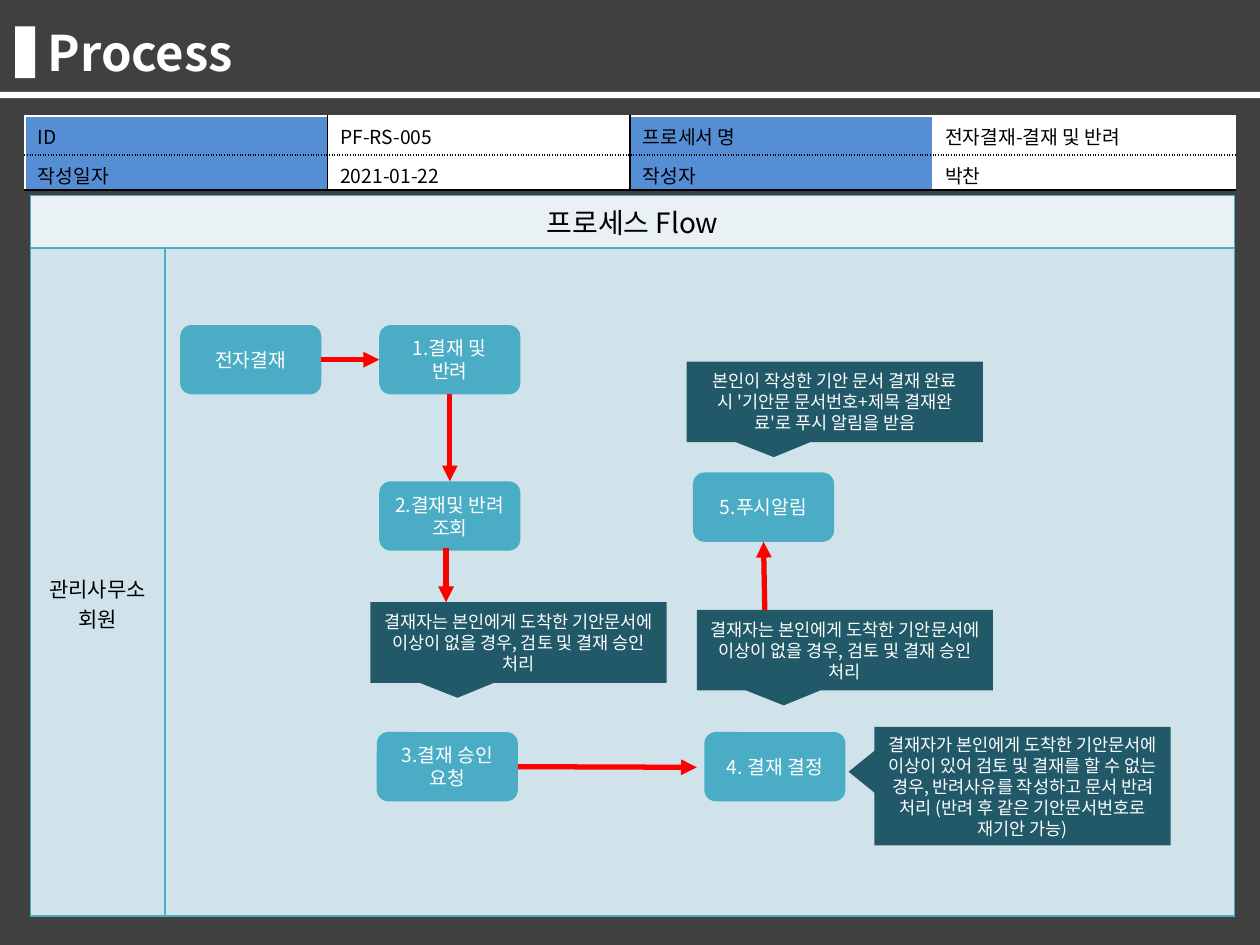
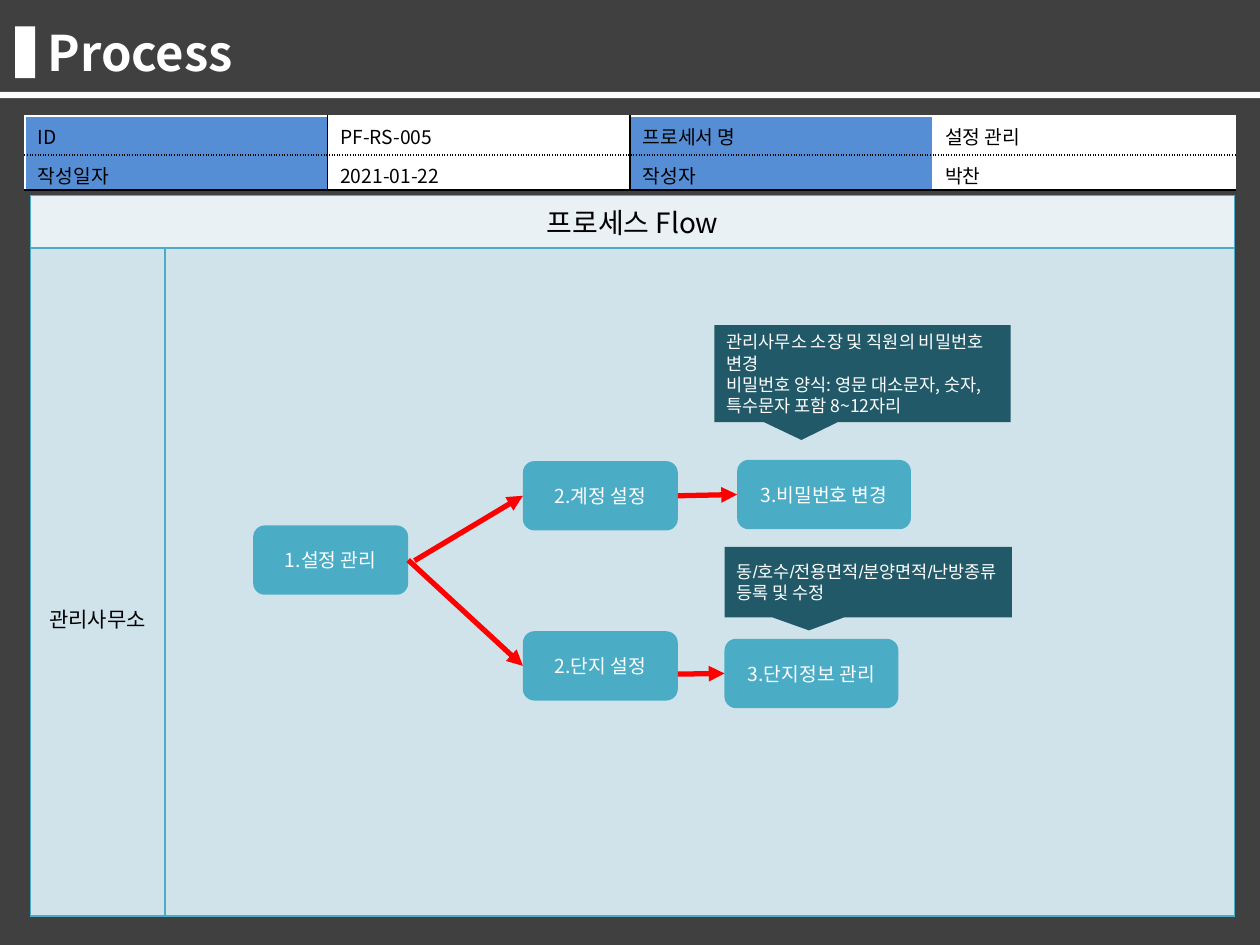
from lxml import etree
from pptx import Presentation
from pptx.dml.color import RGBColor
from pptx.enum.shapes import MSO_CONNECTOR, MSO_SHAPE
from pptx.enum.text import MSO_ANCHOR, PP_ALIGN
from pptx.oxml.ns import qn
from pptx.util import Inches, Pt

RECT, ROUND = MSO_SHAPE.RECTANGLE, MSO_SHAPE.ROUNDED_RECTANGLE
WEDGE, WEDGE_TIP = MSO_SHAPE.RECTANGULAR_CALLOUT, MSO_SHAPE.ISOSCELES_TRIANGLE
LINE = MSO_CONNECTOR.STRAIGHT
LEFT, CENTER = PP_ALIGN.LEFT, PP_ALIGN.CENTER
TOP, MIDDLE, BOTTOM = MSO_ANCHOR.TOP, MSO_ANCHOR.MIDDLE, MSO_ANCHOR.BOTTOM

FONT = "Noto Sans CJK KR"
BLACK, WHITE, DARK = "000000", "FFFFFF", "404040"
TEAL, NOTE, RED, BLUE = "4BACC6", "215968", "FF0000", "558ED5"
HEAD, BODY = "E9F1F5", "D0E3EA"
UP, WEST, DOWN, EAST = range(4)  # connection sites
STEP_H = 0.55

APPROVE = "결재자는 본인에게 도착한 기안문서에 이상이 없을 경우, 검토 및 결재 승인 처리"

# Steps: key -> (left, top, width, text)
# Notes: (left, top, width, height, text lines, alignment, font)
# Arrows: each end is (step key, site) or a point (x, y)
PAGES = [
    {
        "name": "전자결재-결재 및 반려",
        "role": "관리사무소 회원",
        "steps": {
            "start": (1.43, 2.58, 1.12, "전자결재"),
            "sign": (3.01, 2.58, 1.12, "1.결재 및 반려"),
            "view": (3.01, 3.82, 1.12, "2.결재및 반려 조회"),
            "ask": (2.99, 5.81, 1.12, "3.결재 승인 요청"),
            "push": (5.5, 3.75, 1.12, "5.푸시알림"),
            "decide": (5.59, 5.81, 1.12, "4. 결재 결정"),
        },
        "notes": [
            (5.53, 4.84, 2.35, 0.64, [APPROVE], CENTER, FONT),
            (2.94, 4.78, 2.35, 0.64, [APPROVE], CENTER, FONT),
            (5.45, 2.87, 2.35, 0.64,
             ["본인이 작성한 기안 문서 결재 완료 시 '기안문 문서번호+제목 결재완료'로 푸시 알림을 받음"],
             CENTER, FONT),
        ],
        "reject": "결재자가 본인에게 도착한 기안문서에 이상이 있어 검토 및 결재를 할 수 없는 경우, "
                  "반려사유를 작성하고 문서 반려 처리 (반려 후 같은 기안문서번호로 재기안 가능)",
        "arrows": [
            (("start", EAST), ("sign", WEST)),
            (("sign", DOWN), ("view", UP)),
            ((3.54, 4.35), (3.54, 4.78)),
            (("ask", EAST), (5.53, 6.09)),
            ((6.07, 4.84), ("push", DOWN)),
        ],
    },
    {
        "name": "설정 관리",
        "role": "관리사무소",
        "steps": {
            "account": (4.15, 3.66, 1.23, "2.계정 설정"),
            "estate": (4.15, 5.01, 1.23, "2.단지 설정"),
            "setup": (2.01, 4.17, 1.23, "1.설정 관리"),
            "secret": (5.85, 3.65, 1.38, "3.비밀번호 변경"),
            "info": (5.75, 5.07, 1.38, "3.단지정보 관리"),
        },
        "notes": [
            (5.67, 2.58, 2.35, 0.77,
             ["관리사무소 소장 및 직원의 비밀번호 변경",
              "비밀번호 양식: 영문 대소문자, 숫자, 특수문자 포함 8~12자리"], LEFT, FONT),
            (5.75, 4.34, 2.28, 0.56,
             ["동/호수/전용면적/분양면적/난방종류 등록 및 수정"], LEFT, "Arial"),
        ],
        "arrows": [
            ((3.29, 4.45), ("account", WEST)),
            (("setup", EAST), ("estate", WEST)),
            (("account", EAST), ("secret", WEST)),
            ((5.38, 5.35), ("info", WEST)),
        ],
    },
]


def rgb(code):
    return RGBColor.from_string(code)


def write(frame, lines, size, color, align=LEFT, font=FONT, bold=False):
    frame.word_wrap = True
    frame.text = "\n".join(lines)
    for para in frame.paragraphs:
        para.alignment = align
        face = para.font
        face.size, face.name, face.bold = Pt(size), font, bold
        face.color.rgb = rgb(color)
        base = para._p.pPr.find(qn("a:defRPr"))
        etree.SubElement(base, qn("a:ea"), typeface=FONT)


def draw(slide, kind, left, top, width, height, fill):
    shape = slide.shapes.add_shape(kind, *map(Inches, (left, top, width, height)))
    shape.shadow.inherit = False
    shape.fill.solid()
    shape.fill.fore_color.rgb = rgb(fill)
    shape.line.fill.background()
    shape.text_frame.vertical_anchor = MIDDLE
    return shape


def edge(cell, edges):
    """Draw (colour, dash) borders in the order left, right, top, bottom."""
    props = cell._tc.get_or_add_tcPr()
    for place, (side, (color, dash)) in enumerate(zip("LRTB", edges)):
        line = etree.Element(qn(f"a:ln{side}"), w=str(Pt(1)))
        fill = etree.SubElement(line, qn("a:solidFill"))
        etree.SubElement(fill, qn("a:srgbClr"), val=color)
        etree.SubElement(line, qn("a:prstDash"), val=dash)
        props.insert(place, line)


def grid(slide, left, top, cols, rows):
    frame = slide.shapes.add_table(len(rows), len(cols), *map(
        Inches, (left, top, sum(cols), sum(rows))))
    table = frame.table
    table.first_row = table.horz_banding = False
    for col, width in zip(table.columns, cols):
        col.width = Inches(width)
    for row, height in zip(table.rows, rows):
        row.height = Inches(height)
    return table


def paint(cell, fill, edges):
    cell.fill.solid()
    cell.fill.fore_color.rgb = rgb(fill)
    edge(cell, edges)


def add_frame(slide):
    """Dark page, title, marker and rule."""
    draw(slide, RECT, 0, 0, 10, 7.5, DARK)
    title = slide.shapes.add_textbox(*map(Inches, (0.28, 0.13, 8.98, 0.57)))
    write(title.text_frame, ["Process"], 28, WHITE, bold=True)
    draw(slide, RECT, 0.12, 0.21, 0.16, 0.41, WHITE)
    draw(slide, RECT, 0, 0.73, 10, 0.05, WHITE)


def add_flow(slide, role):
    """Lane table behind the flow chart."""
    table = grid(slide, 0.24, 1.55, [1.07, 8.49], [0.42, 5.3])
    table.cell(0, 0).merge(table.cell(0, 1))
    for row, fill in enumerate((HEAD, BODY)):
        for col in range(2):
            paint(table.cell(row, col), fill, [(TEAL, "solid")] * 4)
    write(table.cell(0, 0).text_frame, ["프로세스 Flow"], 16, BLACK, CENTER)
    lane = table.cell(1, 0)
    write(lane.text_frame, [role], 12, BLACK, CENTER)
    lane.vertical_anchor = BOTTOM
    lane.margin_bottom = Inches(2.24)


def add_info(slide, name):
    """Document details above the flow."""
    data = [["ID", "PF-RS-005", "프로세서 명", name],
            ["작성일자", "2021-01-22", "작성자", "박찬"]]
    walls = [(color, "solid") for color in (WHITE, BLACK, BLACK, WHITE, WHITE)]
    floors = [(WHITE, "solid"), (BLACK, "sysDot"), (BLACK, "solid")]
    table = grid(slide, 0.2, 0.92, [2.4] * 4, [0.31, 0.28])
    for row, texts in enumerate(data):
        for col, text in enumerate(texts):
            cell = table.cell(row, col)
            write(cell.text_frame, [text], 11, BLACK)
            cell.vertical_anchor = TOP
            cell.margin_bottom = Inches(0.01)
            paint(cell, WHITE if col % 2 else BLUE,
                  walls[col:col + 2] + floors[row:row + 2])


def add_step(slide, left, top, width, text):
    box = draw(slide, ROUND, left, top, width, STEP_H, TEAL)
    write(box.text_frame, [text], 11, WHITE, CENTER)
    return box


def add_note(slide, left, top, width, height, lines, align, font):
    note = draw(slide, WEDGE, left, top, width, height, NOTE)
    note.adjustments[0], note.adjustments[1] = -0.206, 0.685
    write(note.text_frame, lines, 10, WHITE, align, font)


def add_reject(slide, text):
    """Side note whose tip points left."""
    note = draw(slide, RECT, 6.94, 5.77, 2.35, 0.94, NOTE)
    write(note.text_frame, [text], 10, WHITE, CENTER)
    tip = draw(slide, WEDGE_TIP, 6.67, 6.02, 0.34, 0.21, NOTE)
    tip.rotation = 270


def add_arrow(slide, boxes, start, end):
    points = [(0, 0) if end_key in boxes else (end_key, where)
              for end_key, where in (start, end)]
    arrow = slide.shapes.add_connector(
        LINE, *(Inches(value) for point in points for value in point))
    for (key, site), join in ((start, arrow.begin_connect), (end, arrow.end_connect)):
        if key in boxes:
            join(boxes[key], site)
    arrow.line.color.rgb = rgb(RED)
    arrow.line.width = Pt(3)
    etree.SubElement(arrow.line._get_or_add_ln(), qn("a:tailEnd"), type="triangle")
    etree.SubElement(arrow._element.spPr, qn("a:effectLst"))


def main():
    deck = Presentation()
    deck.slide_width, deck.slide_height = Inches(10), Inches(7.5)
    for page in PAGES:
        slide = deck.slides.add_slide(deck.slide_layouts[6])
        add_frame(slide)
        add_flow(slide, page["role"])
        add_info(slide, page["name"])
        boxes = {key: add_step(slide, *step) for key, step in page["steps"].items()}
        for note in page["notes"]:
            add_note(slide, *note)
        if "reject" in page:
            add_reject(slide, page["reject"])
        for start, end in page["arrows"]:
            add_arrow(slide, boxes, start, end)
    deck.save("out.pptx")


if __name__ == "__main__":
    main()
